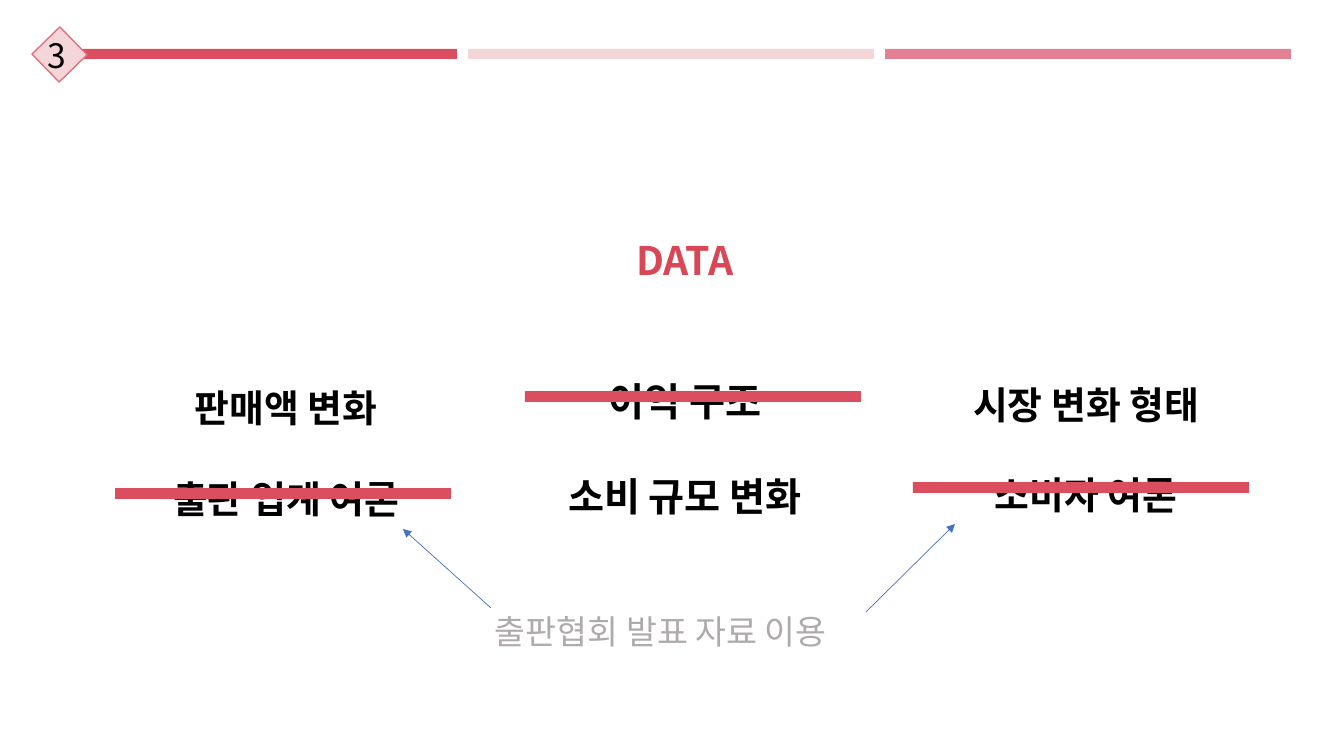
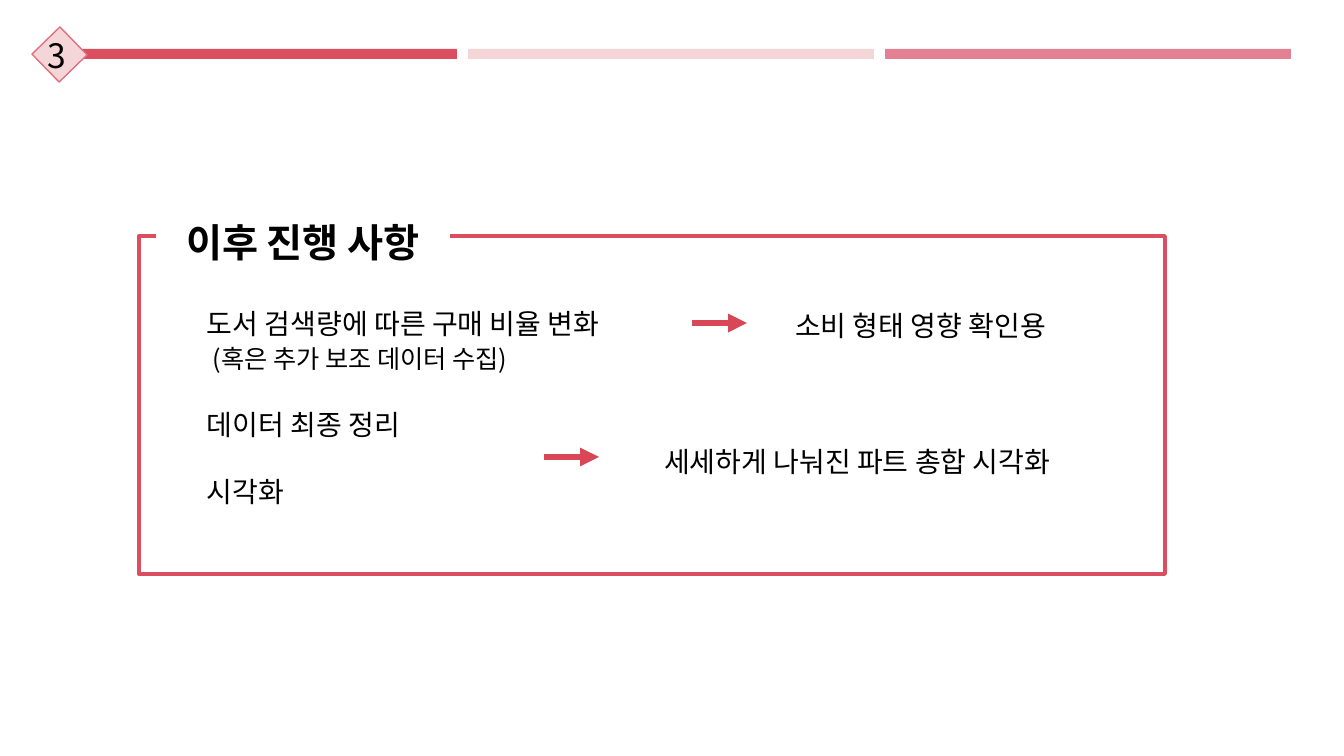
from lxml import etree
from pptx import Presentation
from pptx.dml.color import RGBColor
from pptx.enum.shapes import MSO_CONNECTOR, MSO_SHAPE
from pptx.enum.text import MSO_ANCHOR, MSO_AUTO_SIZE, PP_ALIGN
from pptx.oxml.ns import qn
from pptx.util import Emu, Pt

EMU_PER_PX = 12192000 / 1344
FONT = "Noto Sans CJK KR"
RED = RGBColor(0xDA, 0x4E, 0x5F)
DEEP_RED = RGBColor(0xD9, 0x46, 0x56)
ROSE = RGBColor(0xE3, 0x80, 0x94)
BLUSH = RGBColor(0xF4, 0xD6, 0xD8)
BADGE_EDGE = RGBColor(0xE2, 0x70, 0x7E)
BLUE = RGBColor(0x44, 0x72, 0xC4)
GRAY = RGBColor(0xAF, 0xAB, 0xAB)
BLACK = RGBColor(0, 0, 0)
WHITE = RGBColor(0xFF, 0xFF, 0xFF)
RECTANGLE = MSO_SHAPE.RECTANGLE
STRAIGHT = MSO_CONNECTOR.STRAIGHT
MIDDLE = MSO_ANCHOR.MIDDLE
NO_AUTOFIT = MSO_AUTO_SIZE.NONE
LEFT, CENTER = PP_ALIGN.LEFT, PP_ALIGN.CENTER


def px(*lengths):
    return [Emu(round(length * EMU_PER_PX)) for length in lengths]


def write(shape, box, text, size, color=BLACK, bold=False, align=LEFT):
    shape.left, shape.top, shape.width, shape.height = px(*box)
    frame = shape.text_frame
    frame.text = text
    frame.word_wrap = True
    frame.auto_size = NO_AUTOFIT
    frame.vertical_anchor = MIDDLE
    frame.margin_left = frame.margin_right = frame.margin_top = frame.margin_bottom = 0
    for paragraph in frame.paragraphs:
        paragraph.alignment = align
        paragraph.line_spacing = Pt(size * 1.2)
        for run in paragraph.runs:
            run.font.name = FONT
            etree.SubElement(run.font._element, qn("a:ea"), typeface=FONT)
            run.font.size = Pt(size)
            run.font.bold = bold
            run.font.color.rgb = color
    return frame


prs = Presentation()
prs.slide_width, prs.slide_height = px(1344, 756)
data_slide = prs.slides.add_slide(prs.slide_layouts[5])
plan_slide = prs.slides.add_slide(prs.slide_layouts[5])

for slide in (data_slide, plan_slide):
    for column, color in enumerate((RED, BLUSH, ROSE)):
        band = slide.shapes.add_shape(RECTANGLE, *px(51 + 417 * column, 49, 406, 10))
        band.shadow.inherit = False
        band.fill.solid()
        band.fill.fore_color.rgb = color
        band.line.fill.background()
    badge = slide.shapes.add_shape(RECTANGLE, *px(40, 35, 39, 39))
    badge.rotation = 45.8
    badge.shadow.inherit = False
    badge.fill.solid()
    badge.fill.fore_color.rgb = BLUSH
    badge.line.color.rgb = BADGE_EDGE
    badge.line.width = Pt(1)
    write(slide.shapes.add_textbox(*px(0, 0, 1, 1)), (48, 30, 30, 50), "3", 24)

write(data_slide.shapes.title, (485, 230, 400, 60), "DATA", 28, DEEP_RED, True, CENTER)

topics = [
    (286, 405, "판매액 변화", 27),
    (286, 496, "출판 업계 여론", 27),
    (685, 399, "이익 구조", 28),
    (685, 494, "소비 규모 변화", 28),
    (1086, 402, "시장 변화 형태", 27),
    (1086, 492, "소비자 여론", 27),
]
for center, middle, topic, size in topics:
    label = data_slide.shapes.add_textbox(*px(0, 0, 1, 1))
    write(label, (center - 180, middle - 28, 360, 60), topic, size, BLACK, True, CENTER)

for left, top in ((525, 391), (115, 488), (913, 482)):
    strike = data_slide.shapes.add_shape(RECTANGLE, *px(left, top, 336, 11))
    strike.shadow.inherit = False
    strike.fill.solid()
    strike.fill.fore_color.rgb = RED
    strike.line.fill.background()

write(data_slide.shapes.add_textbox(*px(0, 0, 1, 1)), (495, 606, 400, 50),
      "출판협회 발표 자료 이용", 24, GRAY)

frame_box = plan_slide.shapes.add_shape(RECTANGLE, *px(139, 236, 1026, 338))
frame_box.shadow.inherit = False
frame_box.fill.background()
frame_box.line.color.rgb = RED
frame_box.line.width = Pt(2.75)

heading = plan_slide.shapes.title
write(heading, (156, 204, 294, 76), "이후 진행 사항", 28, BLACK, True, CENTER)
heading.fill.solid()
heading.fill.fore_color.rgb = WHITE
frame_box.element.addnext(heading.element)

steps = [
    ((207, 300, 460, 80), "도서 검색량에 따른 구매 비율 변화\n (혹은 추가 보조 데이터 수집)"),
    ((207, 400, 230, 116), "데이터 최종 정리\n시각화"),
    ((795, 302, 320, 46), "소비 형태 영향 확인용"),
    ((664, 438, 460, 46), "세세하게 나눠진 파트 총합 시각화"),
]
search, wrap_up, *outcomes = [
    write(plan_slide.shapes.add_textbox(*px(0, 0, 1, 1)), box, text, 20)
    for box, text in steps
]
search.paragraphs[1].runs[0].font.size = Pt(18)
wrap_up.paragraphs[1].space_before = Pt(24)

arrows = [
    (data_slide, (866, 612, 955, 524), BLUE, 0.5),
    (data_slide, (491, 608, 403, 529), BLUE, 0.5),
    (plan_slide, (692, 323, 747, 323), DEEP_RED, 4.5),
    (plan_slide, (544, 457, 599, 457), DEEP_RED, 4.5),
]
for slide, ends, color, weight in arrows:
    arrow = slide.shapes.add_connector(STRAIGHT, *px(*ends))
    arrow.line.color.rgb = color
    arrow.line.width = Pt(weight)
    etree.SubElement(arrow.line._get_or_add_ln(), qn("a:tailEnd"), type="triangle")
    etree.SubElement(arrow._element.spPr, qn("a:effectLst"))

prs.save("out.pptx")
